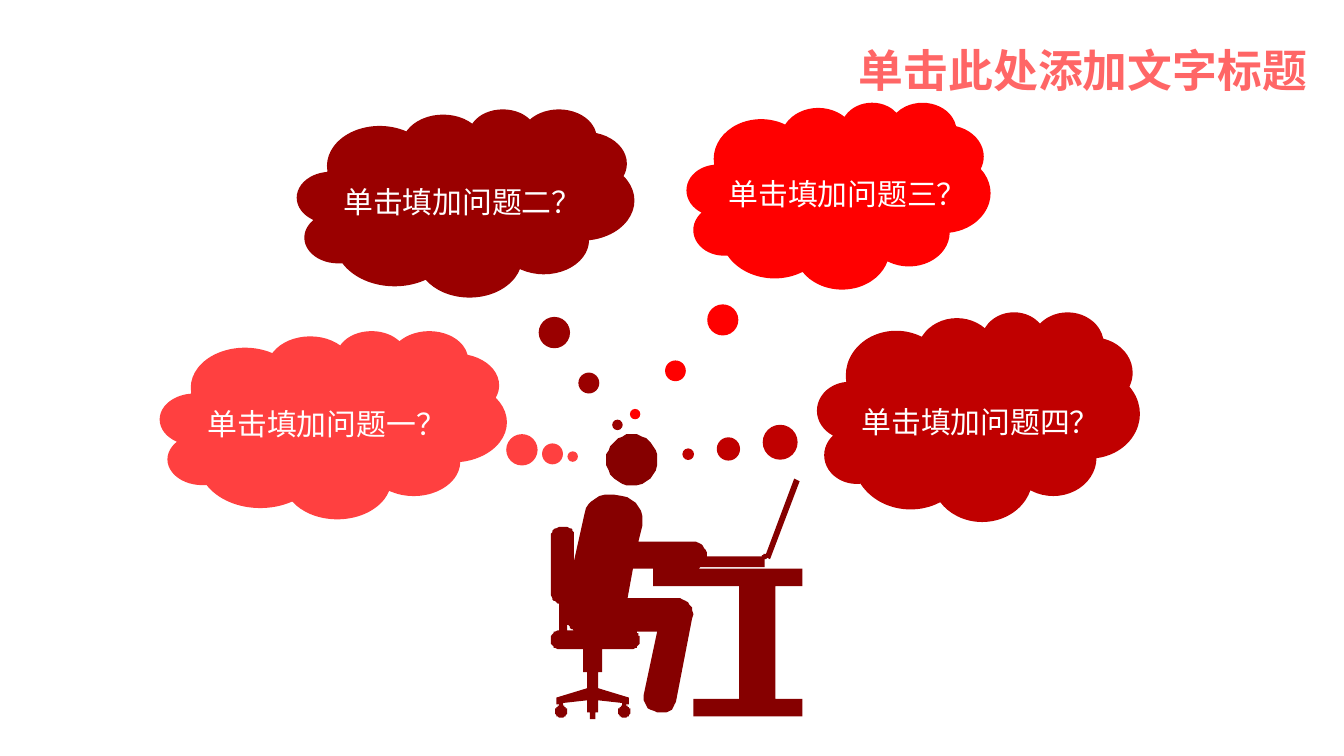
from dataclasses import dataclass

from lxml.etree import SubElement
from pptx import Presentation
from pptx.dml.color import RGBColor
from pptx.enum.shapes import MSO_SHAPE
from pptx.enum.text import MSO_ANCHOR, PP_ALIGN
from pptx.oxml.ns import qn
from pptx.util import Pt

FONT = "Noto Sans CJK SC"
HEX = {
    "title": "FF6666", "text": "FFFFFF", "figure": "860000",
    "one": "FF4040", "two": "9A0000", "three": "FF0000", "four": "C00000",
}


@dataclass
class Cloud:
    text: str
    hue: str
    left: float
    top: float
    width: float
    height: float
    tail: tuple[float, float]


CLOUDS = [
    Cloud("单击填加问题三？", "three", 367.9, 54.7, 162.7, 100.1, (-0.67, 1.17)),
    Cloud("单击填加问题一？", "one", 85.7, 177.1, 185.8, 100.8, (0.69, 0.17)),
    Cloud("单击填加问题四？", "four", 437.8, 167, 172.8, 112.3, (-0.9, 0.18)),
    Cloud("单击填加问题二？", "two", 159.1, 58.3, 180.7, 100.8, (0.45, 1.18)),
]

# Figure outlines on a 0.72 pt grid: pairs are corners, sixes are Bezier curves
UNIT = Pt(0.72)
AXIS = 31  # centre line of the chair base

HEAD = [(79, 19), (79, 9, 71, 0, 60, 0), (50, 0, 41, 9, 41, 19),
        (41, 30, 50, 38, 60, 38), (71, 38, 79, 30, 79, 19)]
BASE = [(24, 160), (24, 177), (27, 177), (27, 189), (4, 196), (4, 201),
        (6, 201), (6, 202), (4, 203, 3, 204, 3, 206),
        (3, 209, 5, 211, 7, 211), (10, 211, 12, 209, 12, 206),
        (12, 204, 11, 203, 9, 202), (9, 200), (27, 198), (27, 207),
        (29, 207), (29, 212)]
BODY = [(60, 160), (64, 160, 66, 157, 66, 154), (66, 153),
        (66, 150, 65, 149, 64, 147), (79, 147), (69, 194),
        (68, 200, 72, 206, 79, 207), (86, 209, 92, 205, 93, 199),
        (105, 137), (106, 134), (105, 127, 100, 122, 93, 122), (57, 122),
        (61, 100), (106, 100), (108, 100, 110, 100, 111, 99), (159, 99),
        (159, 93), (160, 93, 162, 92, 161, 92), (163, 93), (185, 35),
        (181, 33), (160, 89), (158, 89, 157, 90, 157, 91), (116, 91),
        (116, 90), (116, 85, 112, 80, 106, 80), (65, 80), (68, 68),
        (70, 58, 63, 48, 53, 46), (47, 45), (37, 43, 27, 49, 25, 59),
        (17, 95), (17, 75), (17, 72, 15, 69, 11, 69), (7, 69),
        (3, 69, 0, 72, 0, 75), (0, 119), (0, 123, 3, 125, 6, 126),
        (6, 146), (2, 146, 0, 149, 0, 153), (0, 154),
        (0, 157, 2, 160, 6, 160)]
GAP = [(12, 141), (13, 143, 15, 145, 18, 146), (12, 146)]
DESK = [(140, 197), (106, 197), (106, 210), (187, 210), (187, 197),
        (167, 197), (167, 113), (187, 113), (187, 100), (76, 100),
        (76, 113), (140, 113)]


def color(key: str) -> RGBColor:
    return RGBColor.from_string(HEX[key])


def paint(shape, key: str) -> None:
    shape.shadow.inherit = False
    shape.fill.solid()
    shape.fill.fore_color.rgb = color(key)
    shape.line.fill.background()


def write(shape, text: str, size: float, key: str, bold: bool = False) -> None:
    frame = shape.text_frame
    frame.text = text
    frame.word_wrap = False
    line = frame.paragraphs[0]
    line.alignment = PP_ALIGN.LEFT
    run = line.runs[0]
    font = run.font
    font.name, font.size, font.bold = FONT, Pt(size), bold
    font.color.rgb = color(key)
    SubElement(run._r.get_or_add_rPr(), qn("a:ea")).set("typeface", FONT)


def trace(path: list[tuple], steps: int = 8) -> list[tuple]:
    """Turn corners and curves into a list of points."""
    dots = []
    for part in path:
        if len(part) == 2:
            dots.append(part)
            continue
        ends = [dots[-1], part[:2], part[2:4], part[4:]]
        for i in range(1, steps + 1):
            t = i / steps
            mix = ((1 - t) ** 3, 3 * t * (1 - t) ** 2, 3 * t * t * (1 - t), t ** 3)
            dots.append(tuple(sum(m * p[k] for m, p in zip(mix, ends))
                              for k in (0, 1)))
    return dots


def draw_cloud(slide, cloud: Cloud) -> None:
    shape = slide.shapes.add_shape(
        MSO_SHAPE.CLOUD_CALLOUT, Pt(cloud.left), Pt(cloud.top),
        Pt(cloud.width), Pt(cloud.height))
    shape.adjustments[0], shape.adjustments[1] = cloud.tail
    paint(shape, cloud.hue)
    write(shape, cloud.text, 16, "text")
    frame = shape.text_frame
    frame.vertical_anchor = MSO_ANCHOR.BOTTOM
    frame.margin_left, frame.margin_right = Pt(0), Pt(2)
    frame.margin_top, frame.margin_bottom = Pt(2), Pt(21.5)


def draw_figure(slide, left: float, top: float) -> None:
    half = trace(BASE)
    chair = half + [(2 * AXIS - x, y) for x, y in reversed(half)]
    loops = [trace(HEAD), chair + trace(BODY), trace(GAP), DESK]
    pen = slide.shapes.build_freeform(*loops[0][0], scale=UNIT)
    for i, loop in enumerate(loops):
        if i:
            pen.move_to(*loop[0])
        pen.add_line_segments(loop[1:], close=True)
    paint(pen.convert_to_shape(Pt(left), Pt(top)), "figure")


def main() -> None:
    deck = Presentation()
    deck.slide_width, deck.slide_height = Pt(720), Pt(405)
    slide = deck.slides.add_slide(deck.slide_layouts[5])

    # Title
    title = slide.shapes.title
    title.left, title.top = Pt(452.9), Pt(19.4)
    title.width, title.height = Pt(257), Pt(36)
    write(title, "单击此处添加文字标题", 24, "title", bold=True)
    title.text_frame.vertical_anchor = MSO_ANCHOR.TOP

    # Thinker at the desk, with four questions
    draw_figure(slide, 295.2, 232.6)
    for cloud in CLOUDS:
        draw_cloud(slide, cloud)

    deck.save("out.pptx")


if __name__ == "__main__":
    main()
